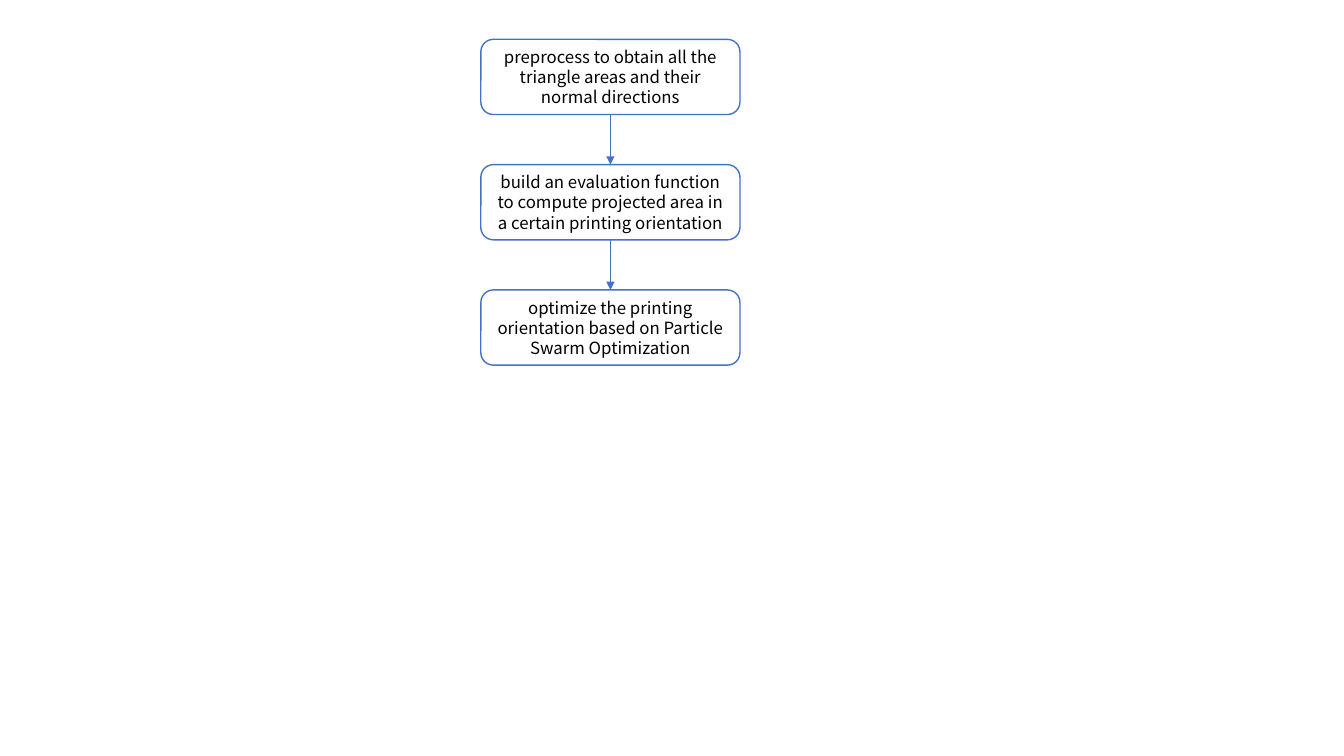
from lxml.etree import SubElement
from pptx import Presentation
from pptx.dml.color import RGBColor as RGB
from pptx.enum.shapes import MSO_CONNECTOR as CONN, MSO_SHAPE as SHAPE
from pptx.enum.text import MSO_ANCHOR as ANCHOR, PP_ALIGN as ALIGN
from pptx.oxml.ns import qn
from pptx.util import Inches, Pt

COLORS = {"line": "4472C4", "fill": "FFFFFF", "text": "000000"}
FONT = {"name": "Noto Sans CJK SC", "size": Pt(12)}
STEPS = [
    "preprocess to obtain all the triangle areas and their normal directions",
    "build an evaluation function to compute projected area in a certain printing orientation",
    "optimize the printing orientation based on Particle Swarm Optimization",
]
BOX_ROWS, GAP_ROWS = 3, 2


def color(name):
    return RGB.from_string(COLORS[name])


def add_step(s, text, x, y, w, h):
    sp = s.shapes.add_shape(SHAPE.ROUNDED_RECTANGLE, x, y, w, h)
    sp.shadow.inherit = False
    sp.fill.solid()
    sp.fill.fore_color.rgb = color("fill")
    sp.line.color.rgb = color("line")
    sp.line.width = Pt(1)
    tf = sp.text_frame
    tf.word_wrap = True
    tf.vertical_anchor = ANCHOR.MIDDLE
    p = tf.paragraphs[0]
    p.alignment = ALIGN.CENTER
    r = p.add_run()
    r.text = text
    for key, value in FONT.items():
        setattr(r.font, key, value)
    r.font.color.rgb = color("text")
    return sp


def add_arrow(s, upper, lower):
    c = s.shapes.add_connector(CONN.STRAIGHT, 0, 0, 0, 0)
    c.begin_connect(upper, 2)
    c.end_connect(lower, 0)
    c.line.color.rgb = color("line")
    c.line.width = Pt(0.5)
    SubElement(c.line._get_or_add_ln(), qn("a:tailEnd"), type="triangle")
    SubElement(c._element.spPr, qn("a:effectLst"))


def add_flow(s, x, y, w, h):
    # Steps and gaps share the height in whole rows
    pitch = BOX_ROWS + GAP_ROWS
    row = h / (len(STEPS) * pitch - GAP_ROWS)
    boxes = [add_step(s, text, x, int(y + i * pitch * row), w, int(BOX_ROWS * row))
             for i, text in enumerate(STEPS)]
    # Arrows between neighbouring steps
    for upper, lower in zip(boxes, boxes[1:]):
        add_arrow(s, upper, lower)


prs = Presentation()
prs.slide_width, prs.slide_height = Inches(13.33), Inches(7.5)
W, H = prs.slide_width, prs.slide_height
s = prs.slides.add_slide(prs.slide_layouts[6])

# Flow region, in percent of the slide
add_flow(s, int(W * 35.78 / 100), int(H * 5.2 / 100),
         int(W * 19.28 / 100), int(H * 43.1 / 100))

prs.save("out.pptx")
